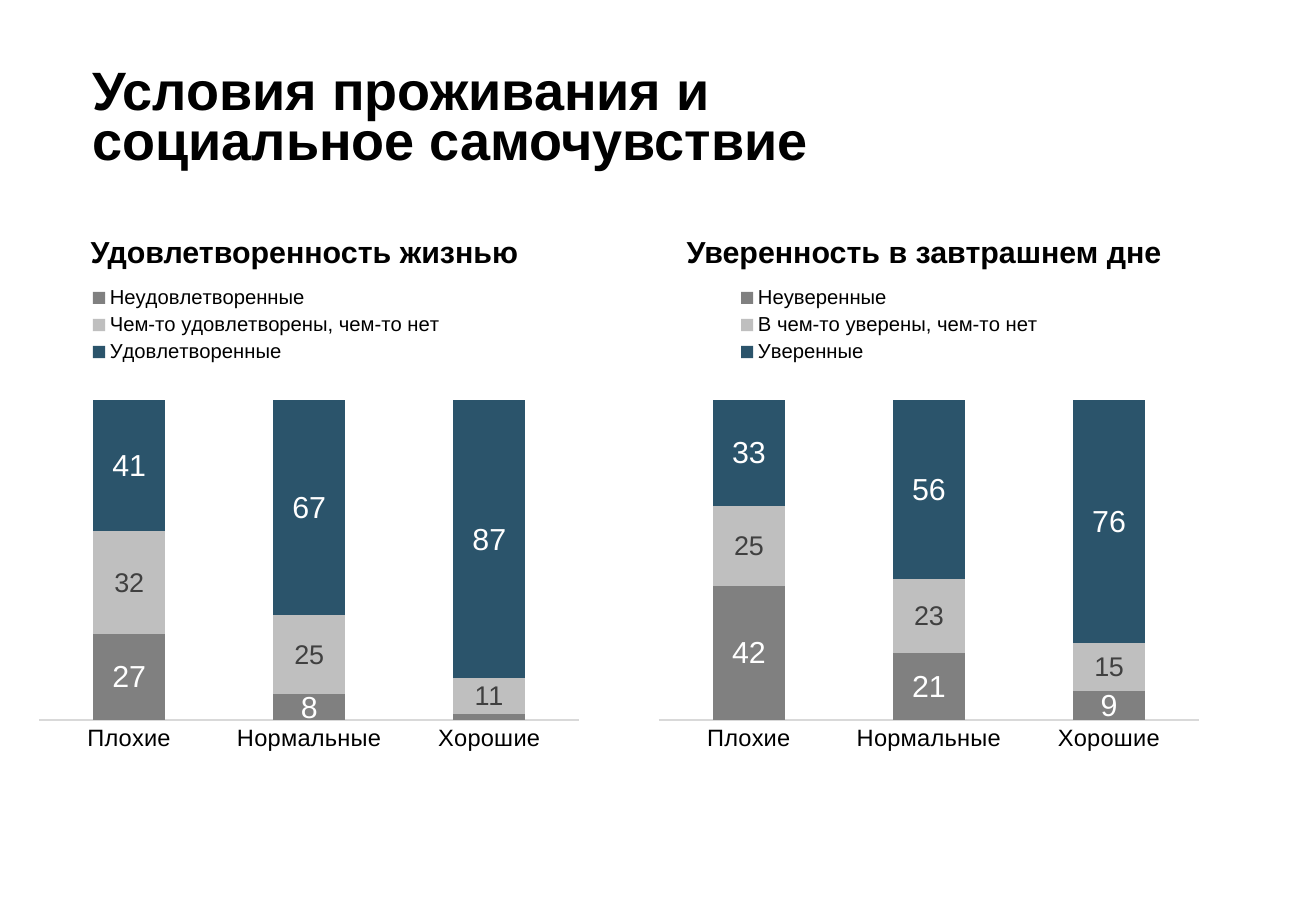
from lxml.etree import SubElement
from pptx import Presentation
from pptx.chart.data import CategoryChartData
from pptx.dml.color import RGBColor
from pptx.enum.chart import XL_CHART_TYPE, XL_LEGEND_POSITION, XL_TICK_MARK
from pptx.enum.text import MSO_ANCHOR, PP_ALIGN
from pptx.oxml import parse_xml
from pptx.oxml.ns import nsdecls, qn
from pptx.util import Inches, Pt

WIDTH, HEIGHT = 10.83, 7.5
FONT = "Arial"
COLORS = {"text": "000000", "axis": "D9D9D9", "low": "808080", "middle": "BFBFBF",
          "high": "2B546B", "light": "FFFFFF", "dark": "404040"}
SERIES_STYLES = [("low", 18, "light"), ("middle", 16, "dark"), ("high", 18, "light")]
CATEGORIES = ["Хорошие", "Нормальные", "Плохие"]
PANEL_LEFT, PANEL_TOP, PANEL_STEP = 0.19, 1.58, 5.1
PANEL_WIDTH, PANEL_HEIGHT = 4.71, 4.97
PLOT_BOX = (0.028, 0.245, 0.944, 0.611)
PANELS = [
    ("Удовлетворенность жизнью", (0.1, 0.018, 0.65, 0.166), [
        ("Неудовлетворенные", (2, 8, 27)),
        ("Чем-то удовлетворены, чем-то нет", (11, 25, 32)),
        ("Удовлетворенные", (87, 67, 41))]),
    ("Уверенность в завтрашнем дне", (0.106, 0.018, 0.65, 0.166), [
        ("Неуверенные", (9, 21, 42)),
        ("В чем-то уверены, чем-то нет", (15, 23, 25)),
        ("Уверенные", (76, 56, 33))]),
]
SMALLEST_LABEL = 5


def rgb(name):
    return RGBColor.from_string(COLORS[name])


def style_font(font, size, color="text", bold=False):
    font.name = FONT
    font.size = Pt(size)
    font.bold = bold
    font.color.rgb = rgb(color)


def write_heading(sp, text, size, spacing, align):
    tf = sp.text_frame
    tf.word_wrap = True
    tf.vertical_anchor = MSO_ANCHOR.MIDDLE
    p = tf.paragraphs[0]
    p.alignment = align
    p.line_spacing = Pt(spacing)
    r = p.add_run()
    r.text = text
    style_font(r.font, size, bold=True)


def add_title(s, left, top, width, height):
    sp = s.shapes.title
    sp.left, sp.top = Inches(left), Inches(top)
    sp.width, sp.height = Inches(width), Inches(height)
    write_heading(sp, "Условия проживания и социальное самочувствие", 32, 30, PP_ALIGN.LEFT)


def set_layout(parent, index, box, inner=False):
    for old in parent.findall(qn("c:layout")):
        parent.remove(old)
    layout = parse_xml(f"<c:layout {nsdecls('c')}><c:manualLayout/></c:layout>")
    manual = layout[0]
    if inner:
        SubElement(manual, qn("c:layoutTarget")).set("val", "inner")
    for tag in ("xMode", "yMode"):
        SubElement(manual, qn(f"c:{tag}")).set("val", "edge")
    for tag, share in zip("xywh", box):
        SubElement(manual, qn(f"c:{tag}")).set("val", str(share))
    parent.insert(index, layout)


def style_series(series, color, size, label_color):
    series.format.fill.solid()
    series.format.fill.fore_color.rgb = rgb(color)
    labels = series.data_labels
    labels.show_value = True
    labels.number_format = "0"
    labels.number_format_is_linked = False
    style_font(labels.font, size, label_color)
    hidden = [i for i, value in enumerate(series.values) if value < SMALLEST_LABEL]
    for position, i in enumerate(hidden):
        labels._element.insert(position, parse_xml(
            f'<c:dLbl {nsdecls("c")}><c:idx val="{i}"/><c:delete val="1"/></c:dLbl>'))


def add_stacked_chart(s, left, top, width, height, rows, legend_box):
    data = CategoryChartData(number_format="0")
    data.categories = CATEGORIES
    for name, values in rows:
        data.add_series(name, values)
    chart = s.shapes.add_chart(XL_CHART_TYPE.COLUMN_STACKED_100, Inches(left), Inches(top),
                               Inches(width), Inches(height), data).chart
    chart.has_title = False
    style_font(chart.font, 10)
    plot = chart.plots[0]
    plot.gap_width, plot.overlap = 150, 100
    plot.vary_by_categories = False
    for series, style in zip(plot.series, SERIES_STYLES):
        style_series(series, *style)

    axis = chart.category_axis
    axis.reverse_order = True
    axis.major_tick_mark = axis.minor_tick_mark = XL_TICK_MARK.NONE
    axis.format.line.color.rgb = rgb("axis")
    axis.format.line.width = Pt(0.75)
    style_font(axis.tick_labels.font, 14)
    chart.value_axis.has_major_gridlines = False
    chart.value_axis.visible = False

    chart.has_legend = True
    legend = chart.legend
    legend.position = XL_LEGEND_POSITION.BOTTOM
    legend.include_in_layout = False
    style_font(legend.font, 12)
    set_layout(legend._element, 1, legend_box)
    set_layout(chart._chartSpace.chart.plotArea, 0, PLOT_BOX, inner=True)


def add_panel(s, left, top, width, height, heading, legend_box, rows):
    chart_top = 0.66
    add_stacked_chart(s, left, top + chart_top, width, height - chart_top, rows, legend_box)
    sp = s.shapes.add_textbox(Inches(left + 0.07), Inches(top),
                              Inches(width - 0.22), Inches(0.93))
    write_heading(sp, heading, 18, 25, PP_ALIGN.CENTER)


def main():
    prs = Presentation()
    prs.slide_width, prs.slide_height = Inches(WIDTH), Inches(HEIGHT)
    s = prs.slides.add_slide(prs.slide_layouts[5])
    add_title(s, 0.66, 0.59, 6.51, 0.81)
    for column, panel in enumerate(PANELS):
        add_panel(s, PANEL_LEFT + column * PANEL_STEP, PANEL_TOP, PANEL_WIDTH, PANEL_HEIGHT, *panel)
    prs.save("out.pptx")


if __name__ == "__main__":
    main()
